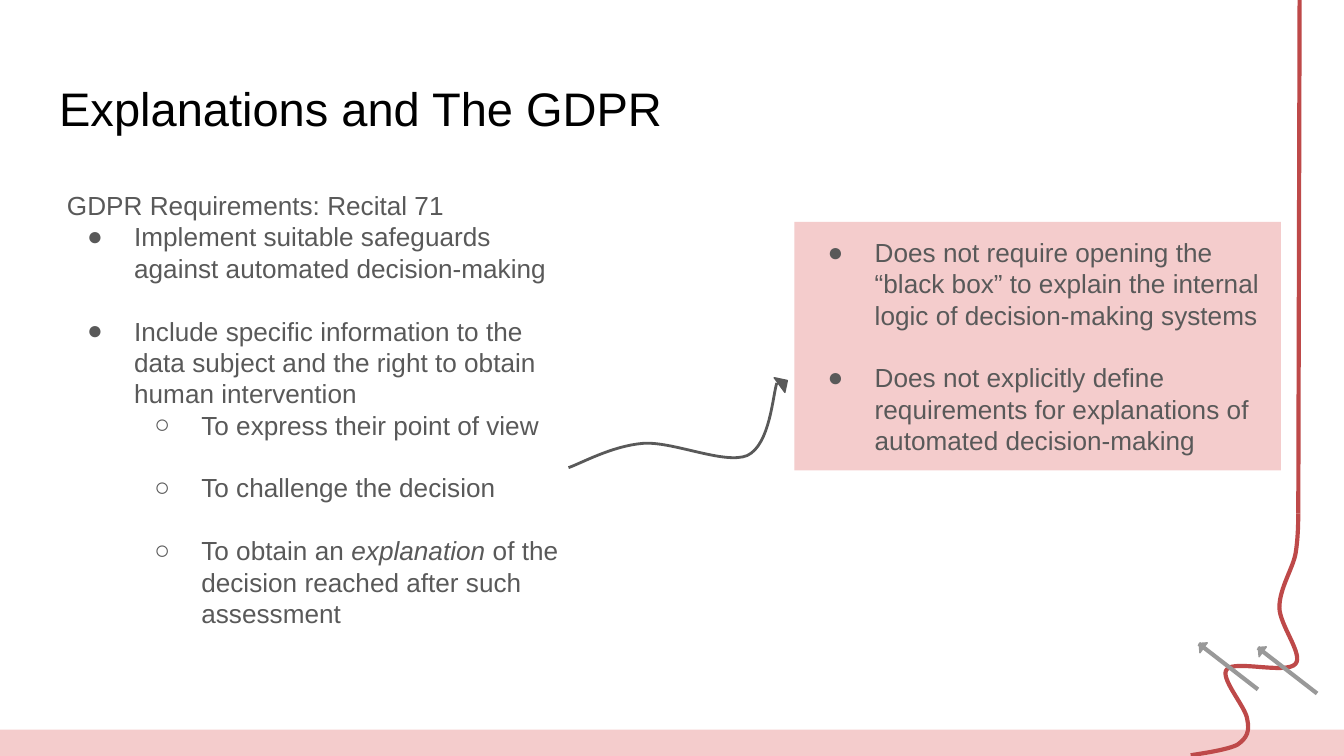
from pptx import Presentation
from pptx.dml.color import RGBColor
from pptx.enum.shapes import MSO_CONNECTOR, MSO_SHAPE
from pptx.enum.text import MSO_ANCHOR, MSO_AUTO_SIZE, PP_ALIGN
from pptx.oxml.ns import qn
from pptx.util import Inches, Pt
from lxml import etree

STRAIGHT = MSO_CONNECTOR.STRAIGHT
RECTANGLE, TRIANGLE = MSO_SHAPE.RECTANGLE, MSO_SHAPE.RIGHT_TRIANGLE
TOP, MIDDLE = MSO_ANCHOR.TOP, MSO_ANCHOR.MIDDLE
LEFT, NO_AUTOFIT = PP_ALIGN.LEFT, MSO_AUTO_SIZE.NONE

COLORS = {"title": "000000", "text": "595959", "panel": "F4CCCC",
          "trail": "BE4949", "marker": "999999"}
FONT = "Arial"
BULLETS = {1: "●", 2: "○"}
LINE_GAP = Pt(16.8)

REQUIREMENTS = [
    (0, "GDPR Requirements: Recital 71", False),
    (1, "Implement suitable safeguards against automated decision-making", True),
    (1, "Include specific information to the data subject and the right to obtain "
        "human intervention", False),
    (2, "To express their point of view", True),
    (2, "To challenge the decision", True),
    (2, "To obtain an *explanation* of the decision reached after such assessment", False),
]
LIMITS = [
    (1, "Does not require opening the “black box” to explain the internal logic of "
        "decision-making systems", True),
    (1, "Does not explicitly define requirements for explanations of automated "
        "decision-making", False),
]
TRAIL_CURVE = [
    (0, 1.8), (0.06, 1.79), (0.28, 1.76), (0.35, 1.72), (0.42, 1.67), (0.44, 1.62),
    (0.42, 1.53), (0.41, 1.44), (0.21, 1.22), (0.27, 1.16), (0.33, 1.09), (0.71, 1.2),
    (0.78, 1.12), (0.84, 1.05), (0.66, 0.83), (0.66, 0.7), (0.66, 0.56), (0.76, 0.41),
    (0.78, 0.3), (0.8, 0.18), (0.8, 0.05), (0.8, 0),
]
ARROW_CURVE = [
    (1.55, 0), (1.52, 0.09), (1.5, 0.46), (1.33, 0.54), (1.16, 0.61),
    (0.77, 0.43), (0.55, 0.45), (0.32, 0.47), (0.09, 0.6), (0, 0.63),
]


def color(name):
    """Return the named palette colour."""
    return RGBColor.from_string(COLORS[name])


def set_line(shape, name, width):
    """Give a shape or connector a solid line."""
    shape.line.color.rgb = color(name)
    shape.line.width = Pt(width)


def set_frame(frame, anchor):
    """Apply the shared wrapping and insets to a text frame."""
    frame.word_wrap = True
    frame.auto_size = NO_AUTOFIT
    frame.vertical_anchor = anchor
    frame.margin_left = frame.margin_right = Inches(0.1)
    frame.margin_top = frame.margin_bottom = Inches(0.1)


def set_font(font, size, name):
    """Set typeface, size and colour."""
    font.name = FONT
    font.size = Pt(size)
    font.color.rgb = color(name)


def set_bullet(paragraph, level):
    """Add the hanging bullet of an outline level."""
    properties = paragraph._p.get_or_add_pPr()
    properties.set("marL", str(Inches(0.5 * level)))
    properties.set("indent", str(-Inches(0.35)))
    bullet_color = etree.SubElement(properties, qn("a:buClr"))
    etree.SubElement(bullet_color, qn("a:srgbClr"), val=COLORS["text"])
    etree.SubElement(properties, qn("a:buFont"), typeface=FONT)
    etree.SubElement(properties, qn("a:buChar"), char=BULLETS[level])


def fill_outline(frame, items):
    """Write outline items; asterisks enclose italic words."""
    for index, (level, text, gap) in enumerate(items):
        paragraph = frame.paragraphs[0] if index == 0 else frame.add_paragraph()
        paragraph.alignment = LEFT
        if level:
            paragraph.level = level - 1
            set_bullet(paragraph, level)
        paragraph.line_spacing = 1.0
        paragraph.space_before = Pt(0)
        paragraph.space_after = LINE_GAP if gap else Pt(0)
        set_font(paragraph.font, 14, "text")
        for part, words in enumerate(text.split("*")):
            run = paragraph.add_run()
            run.text = words
            if part % 2:
                run.font.italic = True


def add_block(slide, kind, box, name):
    """Add a filled preset shape without line or shadow."""
    shape = slide.shapes.add_shape(kind, *map(Inches, box))
    shape.shadow.inherit = False
    shape.fill.solid()
    shape.fill.fore_color.rgb = color(name)
    shape.line.fill.background()
    return shape


def add_arrowhead(slide, box, rotation, name):
    """Add a rotated triangle that serves as an arrowhead."""
    triangle = add_block(slide, TRIANGLE, box, name)
    triangle.rotation = rotation
    set_line(triangle, name, 0.75)


def add_line(slide, start, end, name):
    """Add a straight line without shadow."""
    line = slide.shapes.add_connector(STRAIGHT, *map(Inches, (*start, *end)))
    set_line(line, name, 2.25)
    etree.SubElement(line._element.spPr, qn("a:effectLst"))


def add_curve(slide, left, top, points, name, width):
    """Add an open Bézier curve from a start and triples of points."""
    places = [(Inches(left + x), Inches(top + y)) for x, y in points]
    builder = slide.shapes.build_freeform(*places[0])
    builder.add_line_segments(places[1:], close=False)
    curve = builder.convert_to_shape()
    curve.shadow.inherit = False
    curve.fill.background()
    set_line(curve, name, width)
    segments = list(curve._element.iter(qn("a:lnTo")))
    for index in range(0, len(segments), 3):
        triple = segments[index:index + 3]
        bezier = etree.Element(qn("a:cubicBezTo"))
        triple[0].addprevious(bezier)
        for segment in triple:
            bezier.append(segment[0])
            segment.getparent().remove(segment)


def add_title(slide, box):
    """Place and format the title."""
    title = slide.shapes.title
    title.left, title.top, title.width, title.height = map(Inches, box)
    title.text_frame.text = "Explanations and The GDPR"
    set_frame(title.text_frame, MIDDLE)
    paragraph = title.text_frame.paragraphs[0]
    paragraph.alignment = LEFT
    set_font(paragraph.font, 25.2, "title")


def add_trail(slide, left, top):
    """Draw the red trail up to the slide's top, with two grey markers."""
    add_curve(slide, left, top, TRAIL_CURVE, "trail", 2.25)
    add_line(slide, (left + 0.8, top), (left + 0.81, 0), "trail")
    for x, y in ((left + 0.06, top + 0.97), (left + 0.5, top + 1)):
        add_line(slide, (x, y), (x + 0.44, y + 0.34), "marker")
        add_arrowhead(slide, (x, y, 0.07, 0.06), 85.8, "marker")


def add_limits(slide, box):
    """Add the pink panel on what the rules leave out."""
    panel = add_block(slide, RECTANGLE, box, "panel")
    set_frame(panel.text_frame, MIDDLE)
    fill_outline(panel.text_frame, LIMITS)


def add_requirements(slide, box):
    """Add the outline of requirements."""
    text_box = slide.shapes.add_textbox(*map(Inches, box))
    set_frame(text_box.text_frame, TOP)
    fill_outline(text_box.text_frame, REQUIREMENTS)


def add_curved_arrow(slide, left, top):
    """Draw the curved arrow from requirements to panel."""
    add_curve(slide, left, top, ARROW_CURVE, "text", 1.5)
    add_arrowhead(slide, (left + 1.52, top - 0.03, 0.1, 0.09), 191.9, "text")


def main():
    """Build and save the slide."""
    presentation = Presentation()
    presentation.slide_width = Inches(10)
    presentation.slide_height = Inches(10 * 9 / 16)
    slide = presentation.slides.add_slide(presentation.slide_layouts[5])
    add_title(slide, (0.34, 0.49, 9.32, 0.63))
    add_block(slide, RECTANGLE, (0, 5.43, 10, 0.2), "panel")
    add_trail(slide, 8.86, 3.82)
    add_limits(slide, (5.91, 1.65, 3.62, 1.85))
    add_requirements(slide, (0.4, 1.31, 3.86, 3.74))
    add_curved_arrow(slide, 4.23, 2.85)
    presentation.save("out.pptx")


if __name__ == "__main__":
    main()
